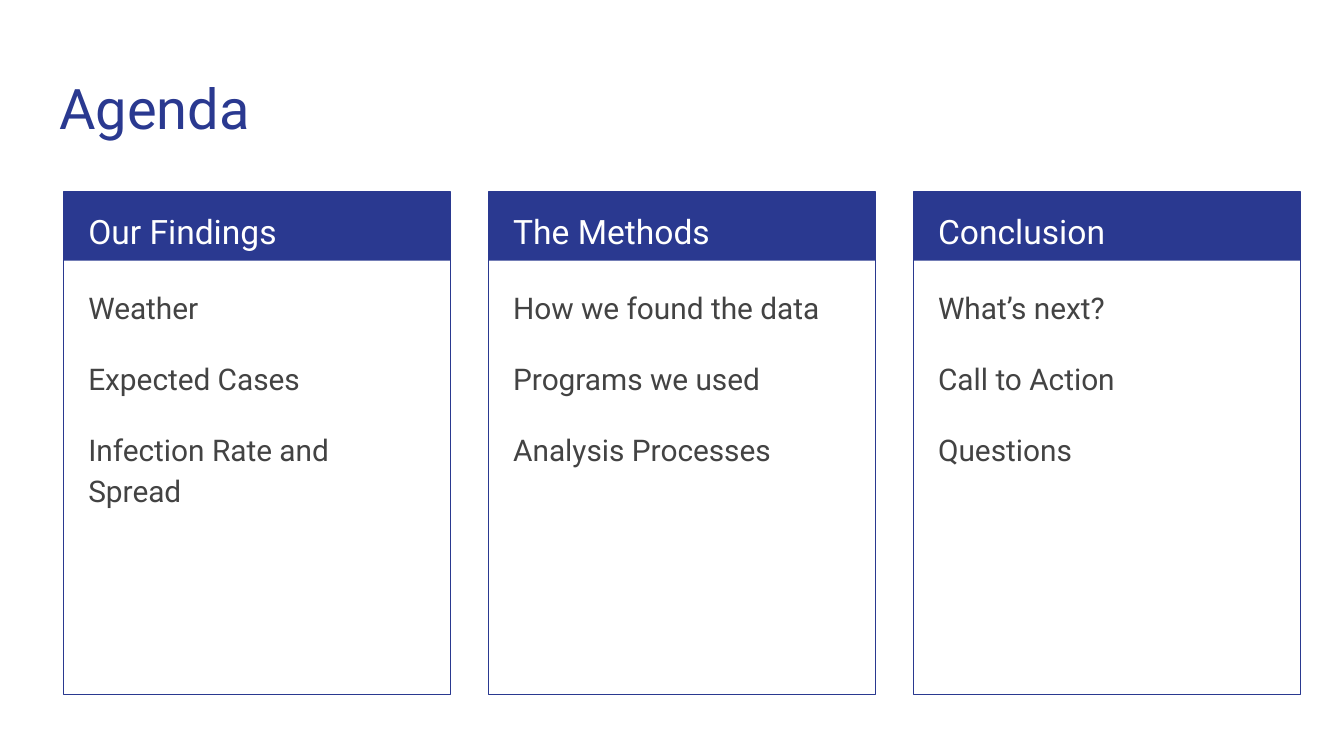
from dataclasses import dataclass

from pptx import Presentation
from pptx.dml.color import RGBColor
from pptx.enum.shapes import MSO_SHAPE
from pptx.enum.text import MSO_ANCHOR, PP_ALIGN
from pptx.util import Cm, Pt

RECTANGLE = MSO_SHAPE.RECTANGLE
TOP = MSO_ANCHOR.TOP
LEFT = PP_ALIGN.LEFT


@dataclass(frozen=True)
class Theme:
    """Colours, font and type sizes of the deck."""
    accent: RGBColor = RGBColor(0x2A, 0x39, 0x90)
    body: RGBColor = RGBColor(0x43, 0x43, 0x43)
    background: RGBColor = RGBColor(0xFF, 0xFF, 0xFF)
    font: str = "Roboto"
    title_size: Pt = Pt(30)
    heading_size: Pt = Pt(18)
    body_size: Pt = Pt(16)
    line_width: Pt = Pt(0.75)


THEME = Theme()

COLUMNS = [
    ("Our Findings", ["Weather", "Expected Cases", "Infection Rate and Spread"]),
    ("The Methods", ["How we found the data", "Programs we used", "Analysis Processes"]),
    ("Conclusion", ["What’s next?", "Call to Action", "Questions"]),
]


def add_text(slide, box, lines, size, color, line_spacing=1.15):
    """Place one paragraph per line in a wrapped, top-anchored text box."""
    frame = slide.shapes.add_textbox(*box).text_frame
    frame.word_wrap = True
    frame.vertical_anchor = TOP
    frame.margin_left = frame.margin_right = Cm(0.25)
    frame.margin_top = frame.margin_bottom = Cm(0.25)
    for index, line in enumerate(lines):
        paragraph = frame.add_paragraph() if index else frame.paragraphs[0]
        paragraph.text = line
        paragraph.alignment = LEFT
        paragraph.line_spacing = line_spacing
        paragraph.space_before = Pt(16 if index else 0)
        paragraph.font.name = THEME.font
        paragraph.font.size = size
        paragraph.font.color.rgb = color


def add_rectangle(slide, box, filled):
    """Place an accent rectangle, either filled or outlined."""
    shape = slide.shapes.add_shape(RECTANGLE, *box)
    shape.shadow.inherit = False
    if filled:
        shape.fill.solid()
        shape.fill.fore_color.rgb = THEME.accent
        shape.line.fill.background()
    else:
        shape.fill.background()
        shape.line.color.rgb = THEME.accent
        shape.line.width = THEME.line_width


def add_title(slide, box, title):
    """Place the slide title."""
    add_text(slide, box, [title], THEME.title_size, THEME.accent, 1.0)


def add_column(slide, box, heading, items):
    """Place a framed column with a heading band and its items."""
    left, top, width, height = box
    inset = Cm(0.22)
    text_left, text_width = left + inset, width - 2 * inset
    body_offset = Cm(1.5)
    add_rectangle(slide, (left, top, width, Cm(1.3)), True)
    add_rectangle(slide, box, False)
    add_text(slide, (text_left, top, text_width, Cm(1.27)), [heading],
             THEME.heading_size, THEME.background)
    add_text(slide, (text_left, top + body_offset, text_width, height - body_offset - inset),
             items, THEME.body_size, THEME.body)


def add_agenda(slide, box, columns):
    """Spread equal columns across the box."""
    left, top, width, height = box
    gap = Cm(0.71)
    column_width = (width - gap * (len(columns) - 1)) // len(columns)
    for index, (heading, items) in enumerate(columns):
        column_left = left + index * (column_width + gap)
        add_column(slide, (column_left, top, column_width, height), heading, items)


def main():
    """Build the agenda slide and save it."""
    presentation = Presentation()
    presentation.slide_width = Cm(25.4)
    presentation.slide_height = Cm(14.29)
    slide = presentation.slides.add_slide(presentation.slide_layouts[6])
    slide.background.fill.solid()
    slide.background.fill.fore_color.rgb = THEME.background
    add_title(slide, (Cm(0.87), Cm(1.15), Cm(23.67), Cm(1.68)), "Agenda")
    add_agenda(slide, (Cm(1.2), Cm(3.63), Cm(23.38), Cm(9.5)), COLUMNS)
    presentation.save("out.pptx")


if __name__ == "__main__":
    main()
